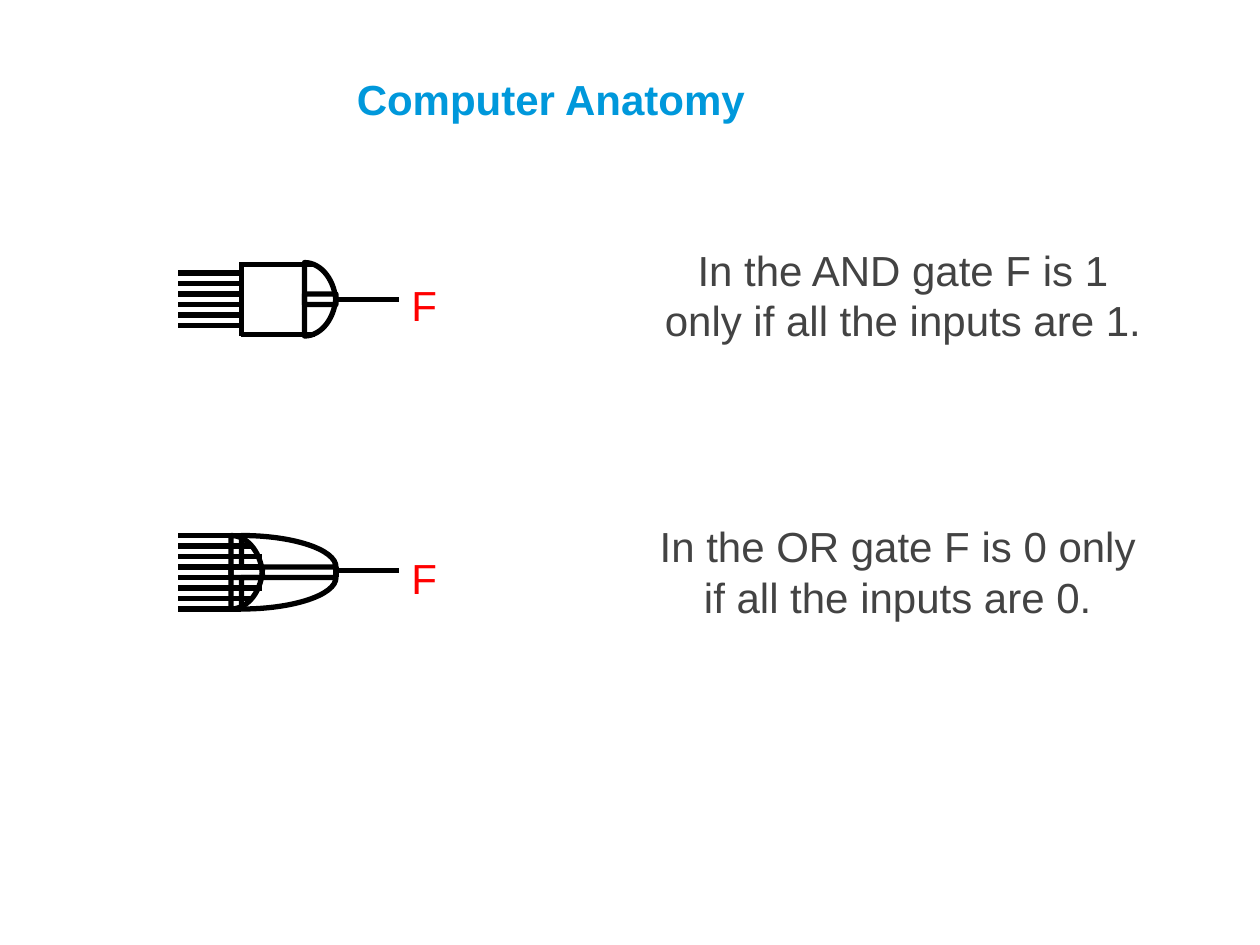
from lxml import etree
from pptx import Presentation
from pptx.dml.color import RGBColor
from pptx.enum import shapes, text
from pptx.oxml import ns
from pptx.util import Pt

BLACK = RGBColor(0x00, 0x00, 0x00)
BLUE = RGBColor(0x00, 0x98, 0xDB)
GRAY = RGBColor(0x43, 0x43, 0x43)
RED = RGBColor(0xFF, 0x00, 0x00)

INPUT_LEFT = 102
BODY_LEFT = 138
TIP = 192
OUTPUT_RIGHT = 228
INPUT_GAP = 6
CURVE = 0.55


def add_text(slide, words, box, color, align=text.PP_ALIGN.LEFT,
             anchor=text.MSO_ANCHOR.TOP, bold=False):
    shape = slide.shapes.add_textbox(*map(Pt, box))
    frame = shape.text_frame
    frame.word_wrap = True
    frame.vertical_anchor = anchor
    paragraph = frame.paragraphs[0]
    paragraph.text = words
    paragraph.alignment = align
    paragraph.font.name = "Arial"
    paragraph.font.size = Pt(24)
    paragraph.font.bold = bold
    paragraph.font.color.rgb = color


def style_line(shape):
    shape.line.color.rgb = BLACK
    shape.line.width = Pt(3)


def add_line(slide, x1, y1, x2, y2):
    connector = slide.shapes.add_connector(
        shapes.MSO_CONNECTOR.STRAIGHT, Pt(x1), Pt(y1), Pt(x2), Pt(y2))
    style_line(connector)
    etree.SubElement(connector._element.spPr, ns.qn("a:effectLst"))


def curve_first_segments(shape):
    segments = list(shape._element.iter(ns.qn("a:lnTo")))[:3]
    curve = etree.Element(ns.qn("a:cubicBezTo"))
    segments[0].addprevious(curve)
    for segment in segments:
        curve.append(segment[0])
        segment.getparent().remove(segment)


def add_quarter(slide, left, center, width, height):
    edge = center + height
    right = left + width
    points = [(left + CURVE * width, edge), (right, center + CURVE * height),
              (right, center), (left, center)]
    builder = slide.shapes.build_freeform(Pt(left), Pt(edge))
    builder.add_line_segments([(Pt(x), Pt(y)) for x, y in points], close=True)
    shape = builder.convert_to_shape()
    curve_first_segments(shape)
    shape.shadow.inherit = False
    shape.fill.background()
    style_line(shape)


def add_curved_side(slide, left, top, bottom, width, height):
    add_quarter(slide, left, top + height, width, -height)
    add_quarter(slide, left, bottom - height, width, height)


def add_inputs(slide, top, ends):
    for index, end in enumerate(ends):
        y = top + index * INPUT_GAP
        add_line(slide, INPUT_LEFT, y, end, y)


def add_and_gate(slide, top, bottom):
    for y in (top + 1, bottom - 1):
        add_line(slide, BODY_LEFT, y, 180, y)
    add_line(slide, BODY_LEFT, top, BODY_LEFT, bottom)
    add_curved_side(slide, 174, top, bottom, 18, 24)
    add_inputs(slide, top + INPUT_GAP, [BODY_LEFT] * 6)
    add_line(slide, TIP, 171, OUTPUT_RIGHT, 171)


def add_or_gate(slide, top, bottom):
    add_curved_side(slide, 132, top, bottom, 18, 24)
    add_curved_side(slide, BODY_LEFT, top, bottom, 54, 18)
    add_line(slide, TIP, top + 18, TIP, bottom - 18)
    add_inputs(slide, top, [138, 144, 150, 150, 150, 150, 144, 138])
    add_line(slide, TIP, 326, OUTPUT_RIGHT, 326)


def main():
    presentation = Presentation()
    presentation.slide_width = Pt(720)
    presentation.slide_height = Pt(540)
    slide = presentation.slides.add_slide(presentation.slide_layouts[6])

    add_text(slide, "Computer Anatomy", (196.8, 37, 407.5, 37.5), BLUE,
             anchor=text.MSO_ANCHOR.BOTTOM, bold=True)
    add_and_gate(slide, 150, 192)
    add_or_gate(slide, 306, 348)
    for top in (156, 312):
        add_text(slide, "F", (OUTPUT_RIGHT, top, 30, 36), RED)
    add_text(slide, "In the AND gate F is 1 only if all the inputs are 1.",
             (372, 136, 288, 65), GRAY, text.PP_ALIGN.CENTER)
    add_text(slide, "In the OR gate F is 0 only if all the inputs are 0.",
             (366, 294, 294, 65), GRAY, text.PP_ALIGN.CENTER)

    presentation.save("out.pptx")


if __name__ == "__main__":
    main()
